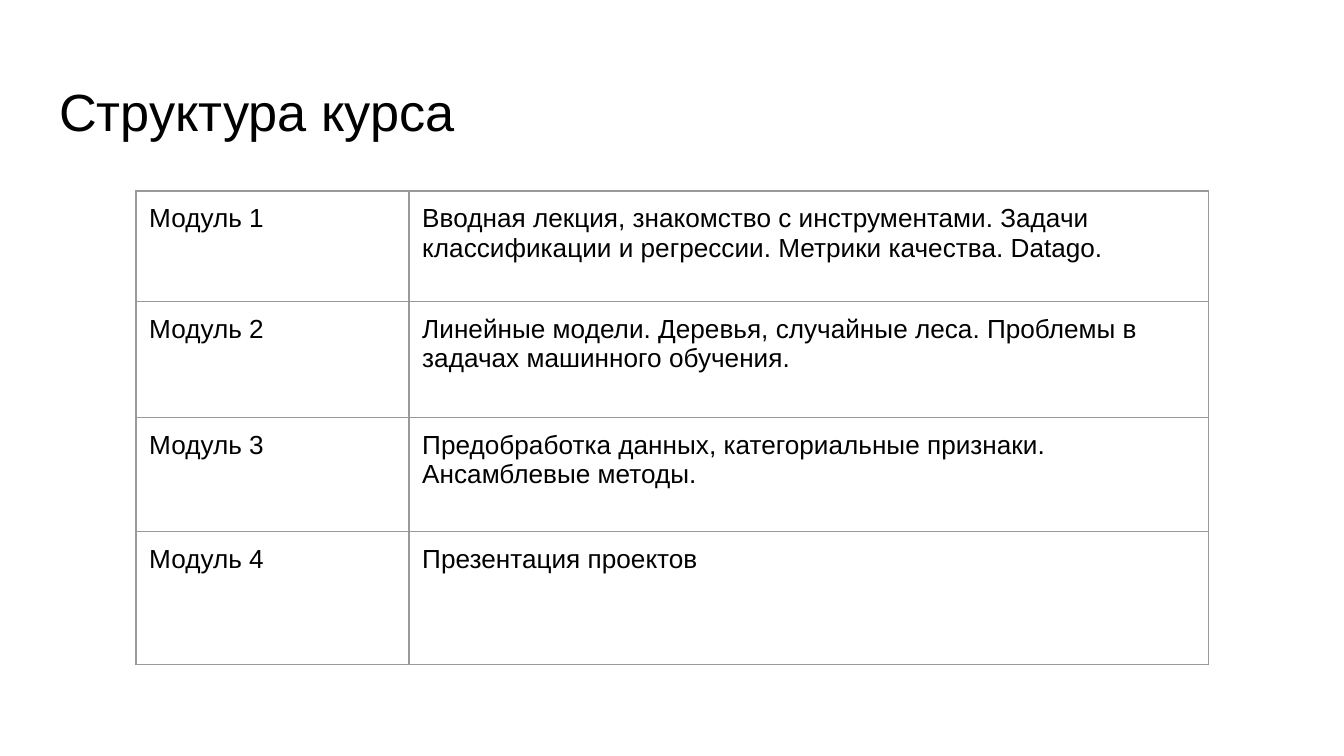
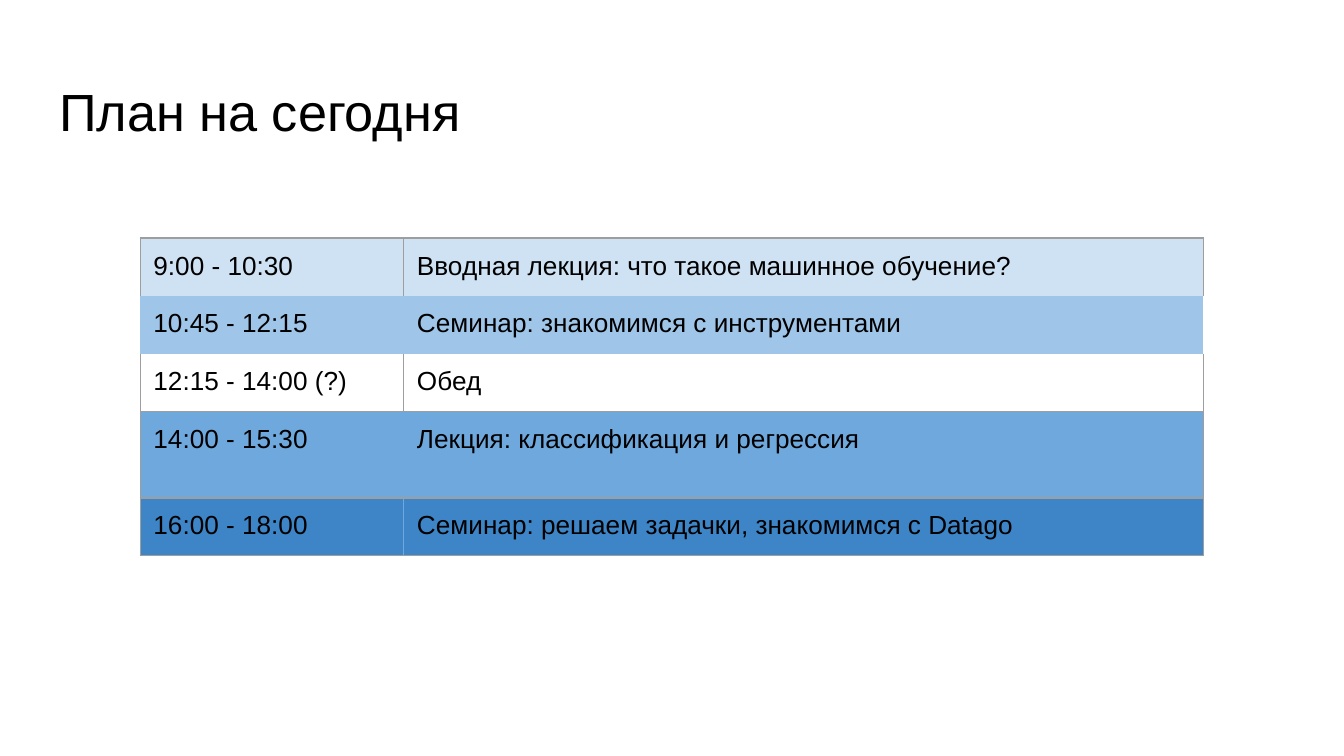
from dataclasses import dataclass

import pptx
import pptx.dml.color
import pptx.oxml
import pptx.oxml.ns
import pptx.util
from pptx.dml.color import RGBColor
from pptx.util import Cm

FONT = "Arial"
BLACK = RGBColor(0x00, 0x00, 0x00)
WHITE = RGBColor(0xFF, 0xFF, 0xFF)
COURSE_BORDER = RGBColor(0x99, 0x99, 0x99)
PLAN_BORDER = RGBColor(0x9E, 0x9E, 0x9E)
PALE_BLUE = RGBColor(0xCF, 0xE2, 0xF3)
LIGHT_BLUE = RGBColor(0x9F, 0xC5, 0xE8)
MID_BLUE = RGBColor(0x6F, 0xA8, 0xDC)
DEEP_BLUE = RGBColor(0x3D, 0x85, 0xC6)

INSET = Cm(0.25)
BORDER_WIDTH = pptx.util.Pt(0.75)
ALL_SIDES = "LRTB"


@dataclass
class Row:
    """A table row; sides names the bordered edges, divider recolours the inner one."""
    height: float
    label: str
    topic: str
    fill: RGBColor | None = WHITE
    sides: str = ALL_SIDES
    divider: RGBColor | None = None


COURSE_ROWS = [
    Row(2.09, "Модуль 1", "Вводная лекция, знакомство с инструментами. Задачи "
        "классификации и регрессии. Метрики качества. Datago."),
    Row(2.19, "Модуль 2", "Линейные модели. Деревья, случайные леса. Проблемы в "
        "задачах машинного обучения."),
    Row(2.16, "Модуль 3", "Предобработка данных, категориальные признаки. "
        "Ансамблевые методы."),
    Row(2.51, "Модуль 4", "Презентация проектов"),
]

PLAN_ROWS = [
    Row(1.07, "9:00 - 10:30", "Вводная лекция: что такое машинное обучение?",
        PALE_BLUE, "LRT"),
    Row(1.07, "10:45 - 12:15", "Семинар: знакомимся с инструментами", LIGHT_BLUE, ""),
    Row(1.07, "12:15 - 14:00 (?)", "Обед", None, "LRB"),
    Row(1.63, "14:00 - 15:30", "Лекция: классификация и регрессия",
        MID_BLUE, divider=MID_BLUE),
    Row(1.07, "16:00 - 18:00", "Семинар: решаем задачки, знакомимся с Datago",
        DEEP_BLUE, divider=MID_BLUE),
]


def set_text(text_frame, text, size):
    text_frame.word_wrap = True
    paragraph = text_frame.paragraphs[0]
    paragraph.text = text
    paragraph.font.name = FONT
    paragraph.font.size = pptx.util.Pt(size)
    paragraph.font.color.rgb = BLACK


def set_insets(holder):
    """Apply the shared inset to a text frame or a table cell."""
    holder.margin_left = holder.margin_right = INSET
    holder.margin_top = holder.margin_bottom = INSET


def set_borders(cell, colours):
    """Draw the edges found in colours and switch the others off."""
    properties = cell._tc.get_or_add_tcPr()
    for side in ALL_SIDES:
        if side in colours:
            paint = f'<a:solidFill><a:srgbClr val="{colours[side]}"/></a:solidFill>'
        else:
            paint = "<a:noFill/>"
        properties.append(pptx.oxml.parse_xml(
            f'<a:ln{side} {pptx.oxml.ns.nsdecls("a")} w="{BORDER_WIDTH}">'
            f"{paint}</a:ln{side}>"))


def add_titled_slide(presentation, title):
    slide = presentation.slides.add_slide(presentation.slide_layouts[6])
    slide.background.fill.solid()
    slide.background.fill.fore_color.rgb = WHITE
    box = slide.shapes.add_textbox(Cm(0.87), Cm(1.24), Cm(23.67), Cm(1.6))
    set_insets(box.text_frame)
    set_text(box.text_frame, title, 28)
    return slide


def fill_cell(cell, text, row, borders):
    set_borders(cell, borders)
    set_insets(cell)
    if row.fill is None:
        cell.fill.background()
    else:
        cell.fill.solid()
        cell.fill.fore_color.rgb = row.fill
    set_text(cell.text_frame, text, 14)


def add_row_table(slide, left, top, widths, rows, border):
    frame = slide.shapes.add_table(
        len(rows), len(widths), Cm(left), Cm(top),
        Cm(sum(widths)), Cm(sum(row.height for row in rows)))
    table = frame.table
    table.first_row = table.horz_banding = False
    for column, width in zip(table.columns, widths):
        column.width = Cm(width)
    for index, row in enumerate(rows):
        table.rows[index].height = Cm(row.height)
        borders = {side: border for side in row.sides}
        inner = {"R": row.divider}, {"L": row.divider}
        for column, text in enumerate((row.label, row.topic)):
            override = inner[column] if row.divider else {}
            fill_cell(table.cell(index, column), text, row, borders | override)


def main():
    presentation = pptx.Presentation()
    presentation.slide_width = Cm(25.4)
    presentation.slide_height = Cm(14.29)

    course = add_titled_slide(presentation, "Структура курса")
    add_row_table(course, 2.57, 3.61, (5.16, 15.11), COURSE_ROWS, COURSE_BORDER)

    plan = add_titled_slide(presentation, "План на сегодня")
    add_row_table(plan, 2.65, 4.5, (4.98, 15.11), PLAN_ROWS, PLAN_BORDER)

    presentation.save("out.pptx")


if __name__ == "__main__":
    main()
